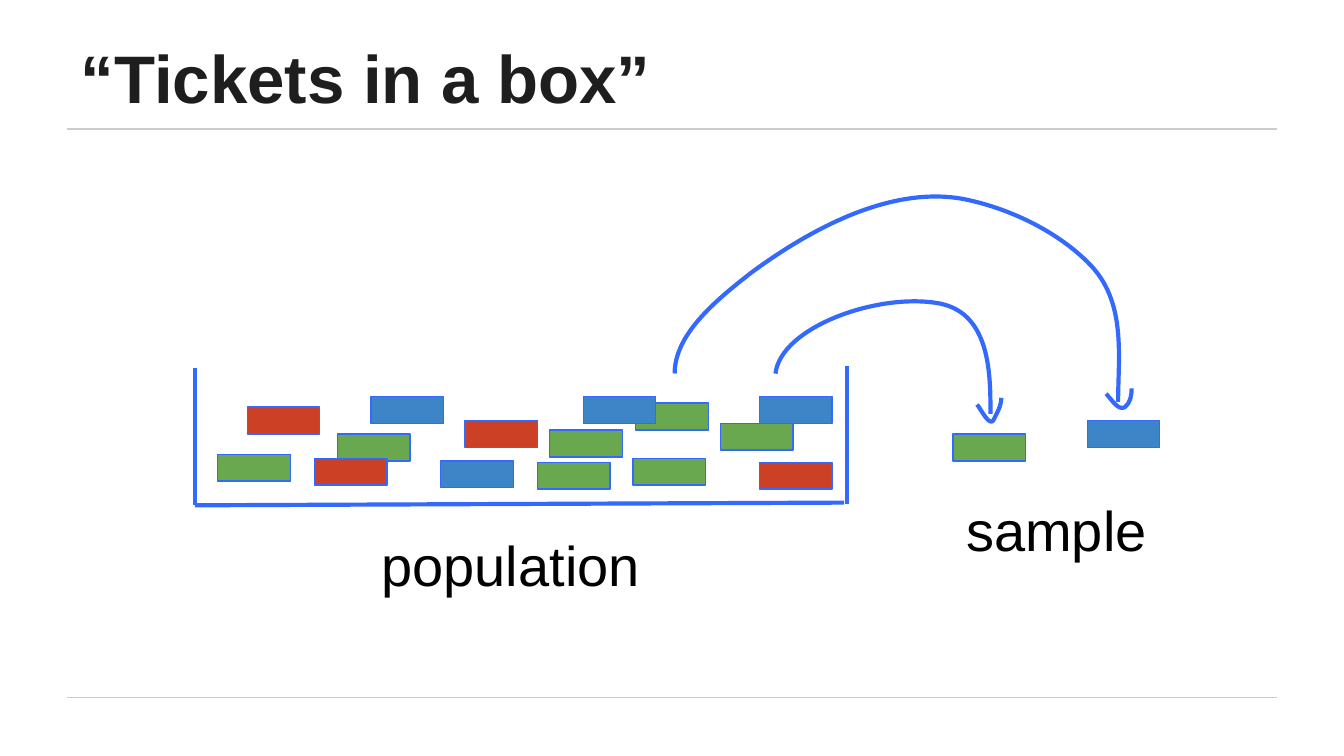
from dataclasses import dataclass

from lxml import etree
from pptx import Presentation
from pptx.dml.color import RGBColor
from pptx.enum.shapes import MSO_CONNECTOR, MSO_SHAPE
from pptx.enum.text import MSO_ANCHOR, MSO_AUTO_SIZE, PP_ALIGN
from pptx.oxml.ns import qn
from pptx.util import Inches, Pt

INK = RGBColor(0x1E, 0x1E, 0x1E)
BLACK = RGBColor(0, 0, 0)
RULE_GREY = RGBColor(0xCC, 0xCC, 0xCC)
OUTLINE = RGBColor(0x33, 0x69, 0xFC)
RED = RGBColor(0xCC, 0x41, 0x25)
GREEN = RGBColor(0x6A, 0xA8, 0x4F)
BLUE = RGBColor(0x3D, 0x85, 0xC6)
FONT = "Arial"
SLIDE_WIDTH = Inches(10)
SLIDE_HEIGHT = SLIDE_WIDTH * 9 // 16
TICKET_WIDTH, TICKET_HEIGHT = 0.54, 0.2
Point = tuple[float, float]


@dataclass
class Ticket:
    left: float
    top: float
    color: RGBColor


@dataclass
class Stroke:
    start: Point
    end: Point
    color: RGBColor
    width: float


@dataclass
class Label:
    text: str
    left: float
    top: float
    width: float
    height: float


RULES = [Stroke((0.5, y), (9.5, y), RULE_GREY, 0.75) for y in (0.96, 5.19)]
BOX_SIDES = [
    Stroke((1.45, 2.74), (1.45, 3.76), OUTLINE, 2.25),
    Stroke((1.45, 3.76), (6.28, 3.74), OUTLINE, 2.25),
    Stroke((6.3, 3.75), (6.3, 2.72), OUTLINE, 2.25),
]

# Back to front, since some tickets overlap
POPULATION = [
    Ticket(1.84, 3.03, RED), Ticket(2.51, 3.23, GREEN), Ticket(3.28, 3.43, BLUE),
    Ticket(2.34, 3.41, RED), Ticket(5.36, 3.15, GREEN), Ticket(5.65, 3.44, RED),
    Ticket(4.71, 3.41, GREEN), Ticket(1.62, 3.38, GREEN), Ticket(5.65, 2.95, BLUE),
    Ticket(2.76, 2.95, BLUE), Ticket(4.73, 3, GREEN), Ticket(4, 3.44, GREEN),
    Ticket(3.46, 3.13, RED), Ticket(4.34, 2.95, BLUE), Ticket(4.09, 3.2, GREEN),
]
SAMPLE = [Ticket(7.09, 3.23, GREEN), Ticket(8.09, 3.13, BLUE)]

# Each curve: a start point, then two control points and an end per segment
DRAW_ARCS: list[list[Point]] = [
    [(5.77, 2.78), (5.81, 2.43), (6.55, 2.17), (7, 2.26),
     (7.37, 2.34), (7.37, 2.79), (7.37, 3.08)],
    [(5.02, 2.78), (5.02, 2.49), (5.32, 2.24), (5.59, 2.03),
     (6.01, 1.72), (6.64, 1.36), (7.21, 1.49),
     (7.57, 1.57), (7.92, 1.76), (8.13, 1.99),
     (8.38, 2.27), (8.32, 2.66), (8.32, 2.99)],
]
ARROW_TIPS: list[list[Point]] = [
    [(7.27, 3.01), (7.3, 3.05), (7.36, 3.17), (7.39, 3.13),
     (7.42, 3.07), (7.45, 3.02), (7.45, 2.96)],
    [(8.23, 2.93), (8.27, 2.97), (8.32, 3.06), (8.37, 3.03),
     (8.41, 3), (8.42, 2.94), (8.42, 2.89)],
]
LABELS = [
    Label("population", 2.74, 3.85, 2.26, 0.68),
    Label("sample", 7.09, 3.59, 1.75, 0.48),
]


def set_text(frame, text: str, size: float, color: RGBColor, bold: bool = False) -> None:
    frame.word_wrap = True
    frame.auto_size = MSO_AUTO_SIZE.NONE
    frame.margin_left = frame.margin_right = Inches(0.1)
    frame.margin_top = frame.margin_bottom = Inches(0.1)
    paragraph = frame.paragraphs[0]
    paragraph.alignment = PP_ALIGN.LEFT
    run = paragraph.add_run()
    run.text = text
    run.font.name, run.font.size, run.font.bold = FONT, Pt(size), bold
    run.font.color.rgb = color


def set_line(shape, color: RGBColor, width: float) -> None:
    shape.line.color.rgb = color
    shape.line.width = Pt(width)


def draw_stroke(shapes, stroke: Stroke) -> None:
    ends = [Inches(v) for v in (*stroke.start, *stroke.end)]
    line = shapes.add_connector(MSO_CONNECTOR.STRAIGHT, *ends)
    set_line(line, stroke.color, stroke.width)
    etree.SubElement(line._element.spPr, qn("a:effectLst"))


def draw_ticket(shapes, ticket: Ticket) -> None:
    box = [Inches(v) for v in (ticket.left, ticket.top, TICKET_WIDTH, TICKET_HEIGHT)]
    card = shapes.add_shape(MSO_SHAPE.RECTANGLE, *box)
    card.shadow.inherit = False
    card.fill.solid()
    card.fill.fore_color.rgb = ticket.color
    set_line(card, OUTLINE, 0.75)


def draw_curve(shapes, points: list[Point]) -> None:
    start, *rest = [(Inches(x), Inches(y)) for x, y in points]
    builder = shapes.build_freeform(*start)
    builder.add_line_segments(rest, close=False)
    curve = builder.convert_to_shape()
    curve.shadow.inherit = False
    curve.fill.background()
    set_line(curve, OUTLINE, 2.25)
    # Join every three straight segments into one cubic Bezier
    path = next(curve._element.iter(qn("a:path")))
    segments = path.findall(qn("a:lnTo"))
    for i in range(0, len(segments), 3):
        bezier = etree.SubElement(path, qn("a:cubicBezTo"))
        for segment in segments[i:i + 3]:
            bezier.append(segment[0])
            path.remove(segment)


def draw_label(shapes, label: Label) -> None:
    box = [Inches(v) for v in (label.left, label.top, label.width, label.height)]
    set_text(shapes.add_textbox(*box).text_frame, label.text, 30, BLACK)


def main() -> None:
    prs = Presentation()
    prs.slide_width, prs.slide_height = SLIDE_WIDTH, SLIDE_HEIGHT
    shapes = prs.slides.add_slide(prs.slide_layouts[5]).shapes

    # Title
    title = shapes.title
    title.left, title.top = Inches(0.5), Inches(0.23)
    title.width, title.height = Inches(7.33), Inches(0.74)
    set_text(title.text_frame, "“Tickets in a box”", 36, INK, bold=True)
    title.text_frame.vertical_anchor = MSO_ANCHOR.BOTTOM

    # Rules and the open box
    for stroke in RULES + BOX_SIDES:
        draw_stroke(shapes, stroke)

    # Tickets, and arrows from the box to the sample
    for ticket in POPULATION:
        draw_ticket(shapes, ticket)
    for arc in DRAW_ARCS:
        draw_curve(shapes, arc)
    for ticket in SAMPLE:
        draw_ticket(shapes, ticket)
    for tip in ARROW_TIPS:
        draw_curve(shapes, tip)

    # Captions
    for label in LABELS:
        draw_label(shapes, label)

    prs.save("out.pptx")


main()
